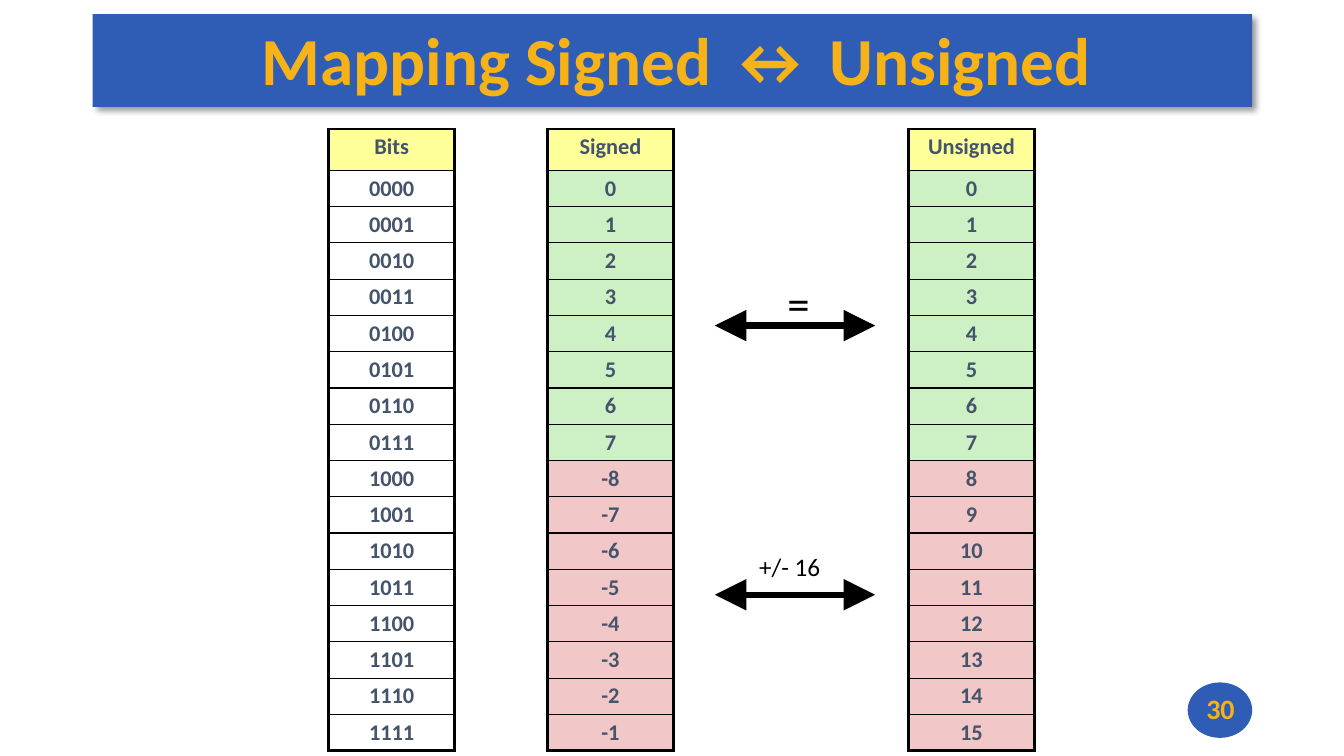
from lxml import etree
from pptx import Presentation
from pptx.dml.color import RGBColor
from pptx.enum.shapes import MSO_CONNECTOR, MSO_SHAPE
from pptx.enum.text import MSO_ANCHOR, PP_ALIGN
from pptx.oxml.ns import qn
from pptx.util import Inches, Pt

RECT, OVAL, STRAIGHT = MSO_SHAPE.RECTANGLE, MSO_SHAPE.OVAL, MSO_CONNECTOR.STRAIGHT
TOP, MIDDLE = MSO_ANCHOR.TOP, MSO_ANCHOR.MIDDLE
LEFT, CENTER = PP_ALIGN.LEFT, PP_ALIGN.CENTER

BLUE = RGBColor(0x2F, 0x5C, 0xB5)
GOLD = RGBColor(0xF7, 0xB2, 0x17)
SLATE = RGBColor(0x44, 0x54, 0x6A)
BLACK = RGBColor(0, 0, 0)
YELLOW = RGBColor(0xFF, 0xFF, 0x99)
GREEN = RGBColor(0xCD, 0xF1, 0xC5)
PINK = RGBColor(0xF1, 0xC7, 0xC7)

# Content
TITLE = "Mapping Signed ↔ Unsigned"
PAGE = "30"
BITS = 4
COUNT = 2 ** BITS
HALF = COUNT // 2
# heading, left, values, fill of lower half, fill of upper half
COLUMNS = [
    ("Signed", 5.43, [n if n < HALF else n - COUNT for n in range(COUNT)], GREEN, PINK),
    ("Unsigned", 9.01, range(COUNT), GREEN, PINK),
    ("Bits", 3.26, [f"{n:0{BITS}b}" for n in range(COUNT)], None, None),
]
ARROW_YS = [3.23, 5.9]
ARROW_LEFT, ARROW_RIGHT = 7.09, 8.68
TABLE_TOP, COL_W, HEAD_H, ROW_H = 1.28, 1.25, 0.41, 0.36
THICK, THIN = 2.25, 1


def put_text(tf, text, size=16, color=BLACK, bold=False, align=CENTER, spacing=None):
    p = tf.paragraphs[0]
    p.alignment = align
    if spacing:
        p.line_spacing = spacing
    r = p.add_run()
    r.text = text
    r.font.name = "Calibri"
    r.font.size = Pt(size)
    r.font.bold = bold
    r.font.color.rgb = color


def add_box(at, text, anchor=TOP, insets=(0.1, 0.05, 0.1, 0.05), wrap=True, **fmt):
    tf = slide.shapes.add_textbox(*map(Inches, at)).text_frame
    tf.word_wrap = wrap
    tf.vertical_anchor = anchor
    tf.margin_left, tf.margin_top, tf.margin_right, tf.margin_bottom = map(Inches, insets)
    put_text(tf, text, **fmt)


def add_panel(kind, at):
    sp = slide.shapes.add_shape(kind, *map(Inches, at))
    sp.shadow.inherit = False
    sp.fill.solid()
    sp.fill.fore_color.rgb = BLUE
    sp.line.fill.background()
    return sp


def set_borders(cell, **widths):
    tc_pr = cell._tc.get_or_add_tcPr()
    for side in "LRTB":
        ln = etree.SubElement(tc_pr, qn("a:ln" + side), w=str(Pt(widths[side])))
        fill = etree.SubElement(ln, qn("a:solidFill"))
        etree.SubElement(fill, qn("a:srgbClr"), val=str(BLACK))


def add_column(heading, left, values, low_fill, high_fill):
    texts = [heading, *map(str, values)]
    last = len(texts) - 1
    frame = slide.shapes.add_table(len(texts), 1, Inches(left), Inches(TABLE_TOP),
                                   Inches(COL_W), Inches(HEAD_H + last * ROW_H))
    table = frame.table
    table.first_row = table.horz_banding = False
    for i, text in enumerate(texts):
        table.rows[i].height = Inches(ROW_H if i else HEAD_H)
        cell = table.cell(i, 0)
        cell.margin_left = cell.margin_right = Inches(0.05)
        cell.margin_top = cell.margin_bottom = Inches(0.05)
        set_borders(cell, L=THICK, R=THICK, T=THIN if i else THICK,
                    B=THICK if i == last else THIN)
        color = YELLOW if i == 0 else low_fill if i <= HALF else high_fill
        if color is None:
            cell.fill.background()
        else:
            cell.fill.solid()
            cell.fill.fore_color.rgb = color
        put_text(cell.text_frame, text, color=SLATE, bold=True, spacing=0.95)


def add_arrow(y):
    line = slide.shapes.add_connector(STRAIGHT, Inches(ARROW_RIGHT), Inches(y),
                                      Inches(ARROW_LEFT), Inches(y))
    line.line.color.rgb = BLACK
    line.line.width = Pt(4.5)
    ln = line.line._get_or_add_ln()
    for end in ("a:headEnd", "a:tailEnd"):
        etree.SubElement(ln, qn(end), type="triangle", w="lg", len="lg")
    etree.SubElement(line._element.spPr, qn("a:effectLst"))


prs = Presentation()
prs.slide_width, prs.slide_height = Inches(13.33), Inches(7.5)
slide = prs.slides.add_slide(prs.slide_layouts[6])

# Title bar with a soft shadow
bar = add_panel(RECT, (0.92, 0.14, 11.5, 0.92))
effects = bar._element.spPr.find(qn("a:effectLst"))
shadow = etree.SubElement(effects, qn("a:outerShdw"), blurRad=str(Pt(4)), dist=str(Pt(3)),
                          dir=str(45 * 60000), algn="tl", rotWithShape="0")
shade = etree.SubElement(shadow, qn("a:srgbClr"), val=str(BLACK))
etree.SubElement(shade, qn("a:alpha"), val="40000")

# Page number and title
add_panel(OVAL, (11.78, 6.77, 0.64, 0.55))
add_box((11.78, 6.77, 0.65, 0.52), PAGE, anchor=MIDDLE, size=20, color=GOLD, bold=True)
add_box((0.92, 0.12, 11.5, 0.92), TITLE, anchor=MIDDLE, insets=(0.08, 0.03, 0, 0.03),
        size=48, color=GOLD, bold=True)

# Number columns
for column in COLUMNS:
    add_column(*column)

# Mapping arrows and their labels
for y in ARROW_YS:
    add_arrow(y)
add_box((7.76, 2.69, 0.32, 0.64), "=", insets=(0.05,) * 4, wrap=False, size=32)
add_box((7.43, 5.36, 1.1, 0.51), "+/- 16", anchor=MIDDLE, size=18, align=LEFT)

prs.save("out.pptx")
